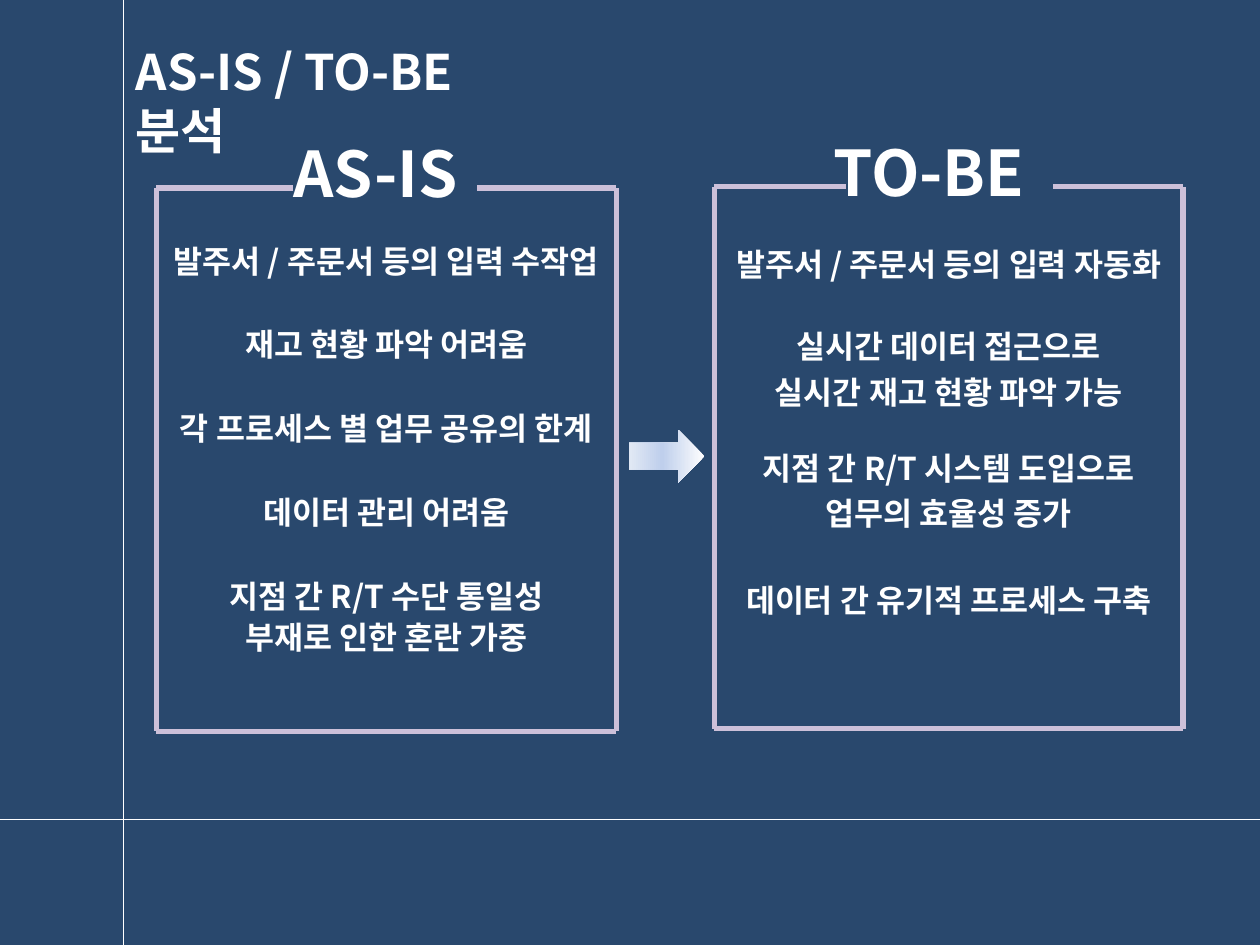
from copy import deepcopy

from pptx import Presentation
from pptx import util as u
from pptx.dml.color import RGBColor
from pptx.enum import shapes, text
from pptx.oxml import ns
from pptx.oxml.xmlchemy import OxmlElement

Pt = u.Pt
NAVY = RGBColor(0x29, 0x48, 0x6D)
WHITE = RGBColor(0xFF, 0xFF, 0xFF)
LILAC = RGBColor(0xCC, 0xC0, 0xD9)
ARROW_STOPS = [
    (0, RGBColor(0xFE, 0xFE, 0xFE)),
    (0.56, RGBColor(0xBF, 0xCF, 0xEC)),
    (1, RGBColor(0xE0, 0xE8, 0xF4)),
]
FONT = "Noto Sans CJK KR"
W, H = 720, 540


def add_line(s, x1, y1, x2, y2, color, width):
    ln = s.shapes.add_connector(
        shapes.MSO_CONNECTOR.STRAIGHT, Pt(x1), Pt(y1), Pt(x2), Pt(y2))
    ln.line.color.rgb = color
    ln.line.width = Pt(width)
    ln._element.spPr.append(OxmlElement("a:effectLst"))


def add_text(s, box, paras, size, align=text.PP_ALIGN.CENTER,
             anchor=text.MSO_ANCHOR.TOP, spacing=None):
    """Each paragraph is a pair: wording, space before."""
    tf = s.shapes.add_textbox(*map(Pt, box)).text_frame
    for name, value in {"word_wrap": True, "vertical_anchor": anchor}.items():
        setattr(tf, name, value)
    for i, (words, before) in enumerate(paras):
        p = tf.add_paragraph() if i else tf.paragraphs[0]
        p.alignment = align
        if spacing:
            p.line_spacing = spacing
        if before:
            p.space_before = Pt(before)
        r = p.add_run()
        r.text = words
        for name, value in {"size": Pt(size), "name": FONT, "bold": True}.items():
            setattr(r.font, name, value)
        r.font.color.rgb = WHITE
        # East Asian typeface for the Korean wording
        ea = OxmlElement("a:ea")
        ea.set("typeface", FONT)
        r.font._element.append(ea)
    return tf


def add_backdrop(s):
    s.background.fill.solid()
    s.background.fill.fore_color.rgb = NAVY
    add_line(s, 0, 468.5, W, 468.5, WHITE, 0.75)
    add_line(s, 70.75, 0, 70.75, H, WHITE, 0.75)


def add_title(s, box):
    tf = add_text(s, box, [("AS-IS / TO-BE 분석", 0)], 28, text.PP_ALIGN.LEFT)
    tf.auto_size = text.MSO_AUTO_SIZE.SHAPE_TO_FIT_TEXT


def add_panel(s, box, label, label_box, gap, paras, spacing=None):
    """Frame whose top edge is open between the two gap offsets."""
    x, y, w, h = box
    # Heading
    dx, label_w = label_box
    add_text(s, (x + dx, y - 39, label_w, 60), [(label, 0)], 36,
             anchor=text.MSO_ANCHOR.MIDDLE)
    # Points, centred on the frame
    body_w = 292
    add_text(s, (x + (w - body_w) / 2, y + 29.5, body_w, 249), paras, 18,
             spacing=spacing)
    # Frame
    edges = [
        (0, 0, gap[0], 0), (gap[1], 0, w, 0),
        (0, 0, 0, h), (w, 0, w, h), (0, h, w, h),
    ]
    for x1, y1, x2, y2 in edges:
        add_line(s, x + x1, y + y1, x + x2, y + y2, LILAC, 3)


def add_arrow(s, box):
    sp = s.shapes.add_shape(shapes.MSO_SHAPE.RIGHT_ARROW, *map(Pt, box))
    sp.shadow.inherit = False
    sp.line.fill.background()
    sp.fill.gradient()
    sp.fill.gradient_angle = 180
    # The default gradient has two stops; a third is needed
    stops = sp._element.spPr.find(ns.qn("a:gradFill")).find(ns.qn("a:gsLst"))
    stops.append(deepcopy(stops[-1]))
    for stop, (position, color) in zip(sp.fill.gradient_stops, ARROW_STOPS):
        stop.position = position
        stop.color.rgb = color


def main():
    prs = Presentation()
    prs.slide_width, prs.slide_height = Pt(W), Pt(H)
    s = prs.slides.add_slide(prs.slide_layouts[6])

    add_backdrop(s)
    add_panel(s, (89.3, 107.5, 262.8, 310.5), "AS-IS", (51.8, 147), (78, 183.5), [
        ("발주서 / 주문서 등의 입력 수작업", 0),
        ("재고 현황 파악 어려움", 28.4),
        ("각 프로세스 별 업무 공유의 한계", 28.4),
        ("데이터 관리 어려움", 28.4),
        ("지점 간 R/T 수단 통일성", 28.4),
        ("부재로 인한 혼란 가중", 4.5),
    ], spacing=0.9)
    add_panel(s, (408.2, 106.8, 267.8, 309.7), "TO-BE", (16.2, 213), (75, 193.7), [
        ("발주서 / 주문서 등의 입력 자동화", 0),
        ("실시간 데이터 접근으로", 25.5),
        ("실시간 재고 현황 파악 가능", 4.4),
        ("지점 간 R/T 시스템 도입으로", 22),
        ("업무의 효율성 증가", 4.4),
        ("데이터 간 유기적 프로세스 구축", 28),
    ])
    add_arrow(s, (359.7, 245.5, 43, 30.5))
    add_title(s, (70.6, 20.2, 249.8, 41))

    prs.save("out.pptx")


if __name__ == "__main__":
    main()
